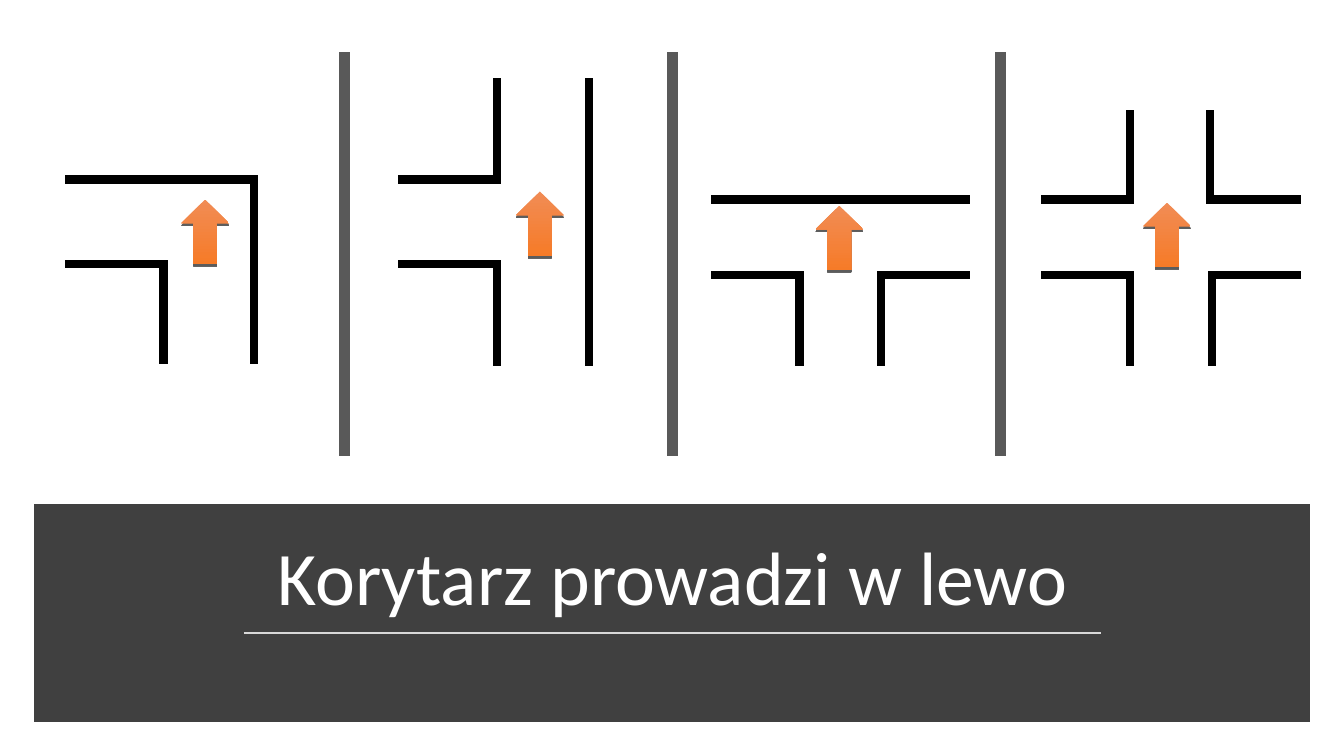
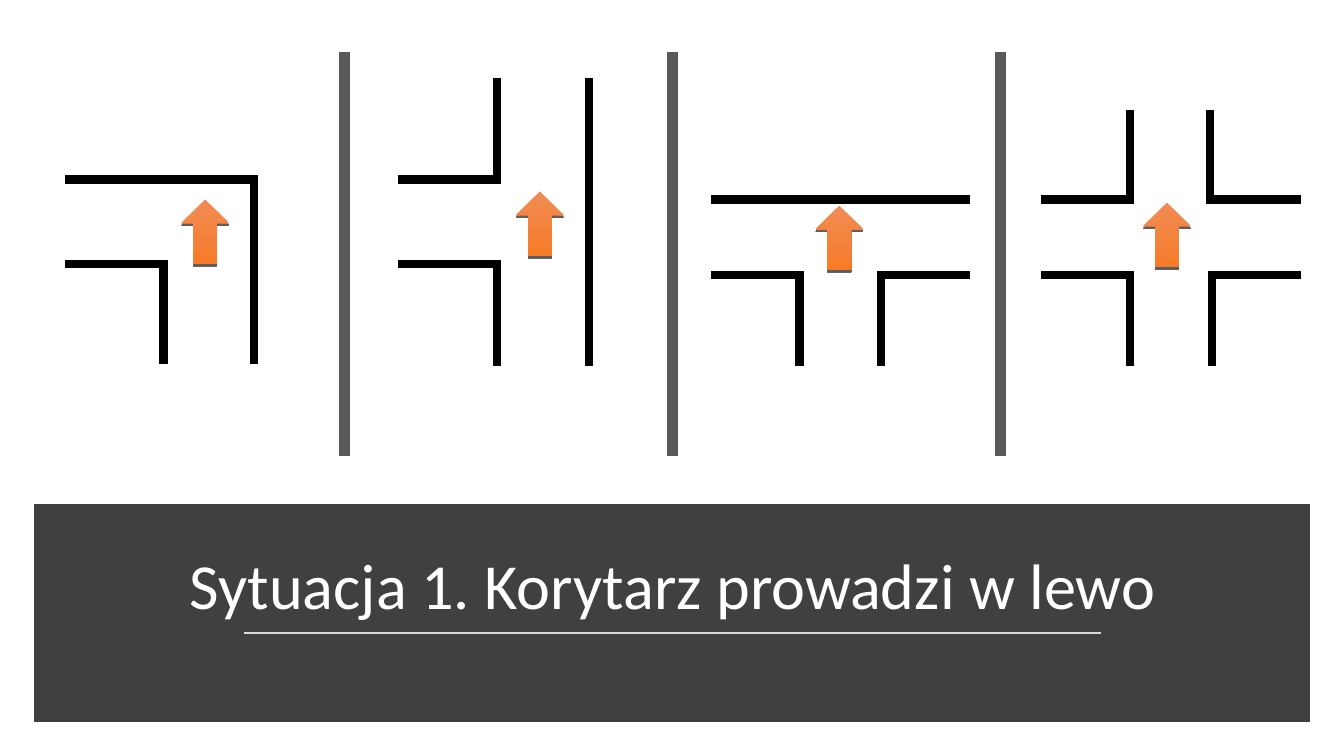
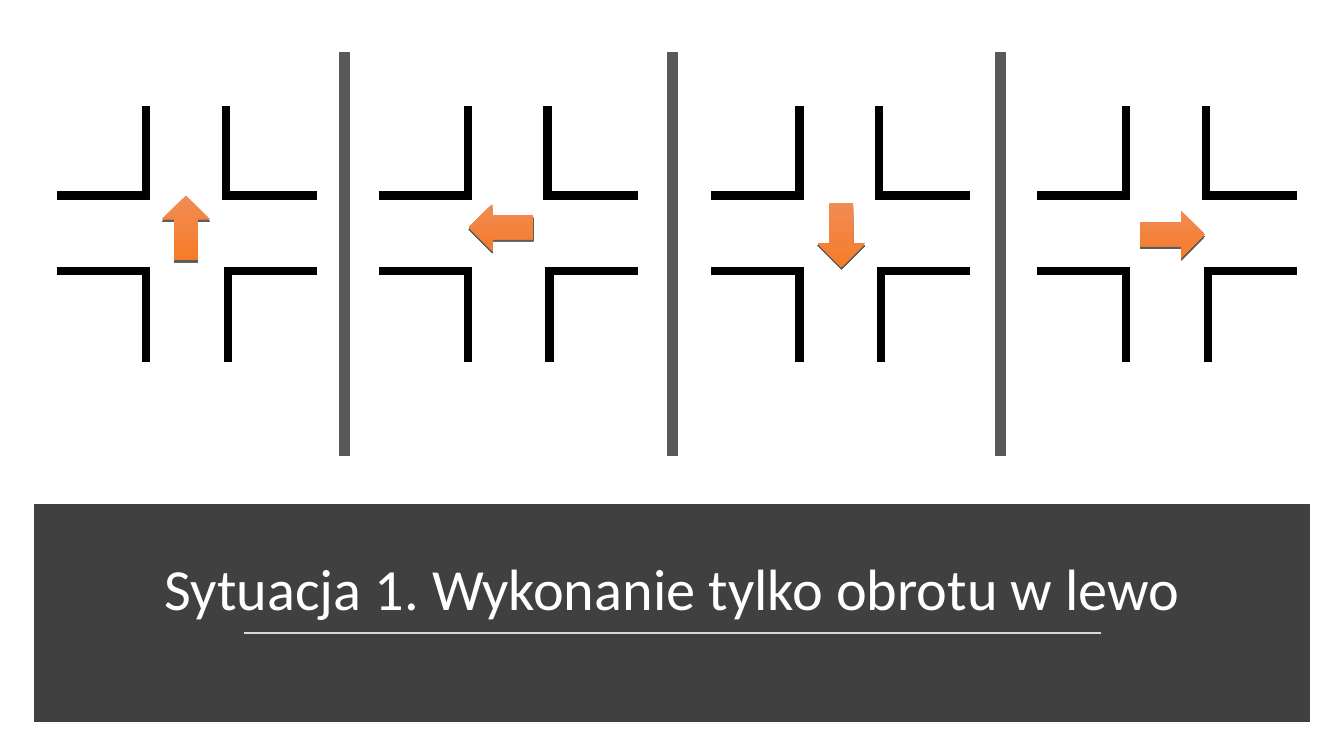
"""Build three slides on how a robot meets corridors leading left."""
from itertools import pairwise

from lxml.etree import SubElement
from pptx import Presentation
from pptx.dml.color import RGBColor
from pptx.enum.shapes import MSO_CONNECTOR, MSO_SHAPE
from pptx.enum.text import MSO_ANCHOR, PP_ALIGN
from pptx.oxml.ns import qn
from pptx.util import Inches, Pt

THEME = {
    "band": RGBColor.from_string("404040"),
    "rule": RGBColor.from_string("D9D9D9"),
    "divider": RGBColor.from_string("595959"),
    "wall": RGBColor.from_string("000000"),
    "title": RGBColor.from_string("FFFFFF"),
    "arrow": [RGBColor.from_string("F18C55"), RGBColor.from_string("F67B28")],
    "font": "Calibri",
    "sizes": {"short": 54, "medium": 45.9, "long": 41.6},
    "widths": {"band": 10, "rule": 1.75, "divider": 8, "wall": 6},
}

BOTTOM_CORNERS = [
    [(0, 1.6), (0.84, 1.6), (0.84, 2.46)],
    [(2.49, 1.6), (1.65, 1.6), (1.65, 2.46)],
]
LEFT_TURN = [
    [(0, 0), (1.83, 0), (1.83, 1.79)],
    [(0, 0.84), (0.93, 0.84), (0.93, 1.79)],
]
LEFT_BRANCH = [
    [(1.85, 0), (1.85, 2.77)],
    [(0, 0.96), (0.94, 0.96), (0.94, 0)],
    [(0, 1.8), (0.94, 1.8), (0.94, 2.77)],
]
T_JUNCTION = [[(0, 0.85), (2.49, 0.85)], *BOTTOM_CORNERS]
CROSSING = [
    [(0, 0.85), (0.84, 0.85), (0.84, 0)],
    [(1.63, 0), (1.63, 0.85), (2.49, 0.85)],
    *BOTTOM_CORNERS,
]

ARROWS = {
    "up": (MSO_SHAPE.UP_ARROW, 0.47, 0.64),
    "down": (MSO_SHAPE.DOWN_ARROW, 0.47, 0.64),
    "left": (MSO_SHAPE.LEFT_ARROW, 0.64, 0.47),
    "right": (MSO_SHAPE.RIGHT_ARROW, 0.64, 0.47),
}

ENTRY_PANELS = [
    (LEFT_TURN, 0.69, 1.78, "up", 1.8, 1.98),
    (LEFT_BRANCH, 3.99, 0.82, "up", 5.12, 1.9),
    (T_JUNCTION, 7.09, 1.13, "up", 8.09, 2.04),
    (CROSSING, 10.37, 1.13, "up", 11.34, 2.01),
]
ROTATION_PANELS = [
    (CROSSING, 0.61, 1.09, "up", 1.61, 1.94),
    (CROSSING, 3.8, 1.09, "left", 4.65, 2.02),
    (CROSSING, 7.09, 1.09, "down", 8.11, 2.01),
    (CROSSING, 10.33, 1.09, "right", 11.31, 2.09),
]
SLIDES = [
    ("Korytarz prowadzi w lewo", "short", 0.9, ENTRY_PANELS),
    ("Sytuacja 1. Korytarz prowadzi w lewo", "medium", 0.8, ENTRY_PANELS),
    ("Sytuacja 1. Wykonanie tylko obrotu w lewo", "long", 0.8, ROTATION_PANELS),
]


def draw_line(shapes, start, end, role, cap="flat"):
    """Draw a straight line in the colour and width of its role."""
    points = [Inches(value) for value in (*start, *end)]
    line = shapes.add_connector(MSO_CONNECTOR.STRAIGHT, *points)
    line.line.color.rgb = THEME[role]
    line.line.width = Pt(THEME["widths"][role])
    properties = line._element.spPr
    properties.find(qn("a:ln")).set("cap", cap)
    SubElement(properties, qn("a:effectLst"))


def draw_arrow(shapes, direction, left, top):
    """Draw a shaded block arrow with a thin shadow below it."""
    preset, width, height = ARROWS[direction]
    arrow = shapes.add_shape(preset, Inches(left), Inches(top), Inches(width), Inches(height))
    arrow.fill.gradient()
    arrow.fill.gradient_angle = 270
    for stop, position, colour in zip(arrow.fill.gradient_stops, (0, 1), THEME["arrow"]):
        stop.position = position
        stop.color.rgb = colour
    arrow.line.fill.background()
    arrow.shadow.inherit = False
    effects = arrow._element.spPr.find(qn("a:effectLst"))
    shadow = SubElement(effects, qn("a:outerShdw"), blurRad="0", dist=str(Pt(1.5)),
                        dir="5400000", algn="ctr", rotWithShape="0")
    black = SubElement(shadow, qn("a:srgbClr"), val="000000")
    SubElement(black, qn("a:alpha"), val="63000")


deck = Presentation()
deck.slide_width, deck.slide_height = Inches(13.33), Inches(7.5)

for heading, size, spacing, panels in SLIDES:
    shapes = deck.slides.add_slide(deck.slide_layouts[6]).shapes

    band = shapes.add_shape(MSO_SHAPE.RECTANGLE, Inches(0.41), Inches(5.07), Inches(12.51), Inches(2.02))
    band.shadow.inherit = False
    band.fill.solid()
    band.fill.fore_color.rgb = band.line.color.rgb = THEME["band"]
    band.line.width = Pt(THEME["widths"]["band"])
    SubElement(band._element.spPr.find(qn("a:ln")), qn("a:miter"), lim="800000")

    draw_line(shapes, (2.42, 6.28), (10.92, 6.28), "rule")
    for column in range(3):
        x = 3.42 + 3.25 * column
        draw_line(shapes, (x, 0.52), (x, 4.52), "divider")

    title = shapes.add_textbox(Inches(0.58), Inches(5.2), Inches(12.18), Inches(1.02)).text_frame
    title.word_wrap = True
    title.vertical_anchor = MSO_ANCHOR.BOTTOM
    paragraph = title.paragraphs[0]
    paragraph.text = heading
    for name, value in {"alignment": PP_ALIGN.CENTER, "line_spacing": spacing}.items():
        setattr(paragraph, name, value)
    for name, value in {"name": THEME["font"], "size": Pt(THEME["sizes"][size])}.items():
        setattr(paragraph.font, name, value)
    paragraph.font.color.rgb = THEME["title"]

    for walls, left, top, direction, arrow_left, arrow_top in panels:
        corridor = shapes.add_group_shape().shapes
        for wall in walls:
            corners = [(left + x, top + y) for x, y in wall]
            for start, end in pairwise(corners):
                draw_line(corridor, start, end, "wall", "sq")
        draw_arrow(shapes, direction, arrow_left, arrow_top)

deck.save("out.pptx")
